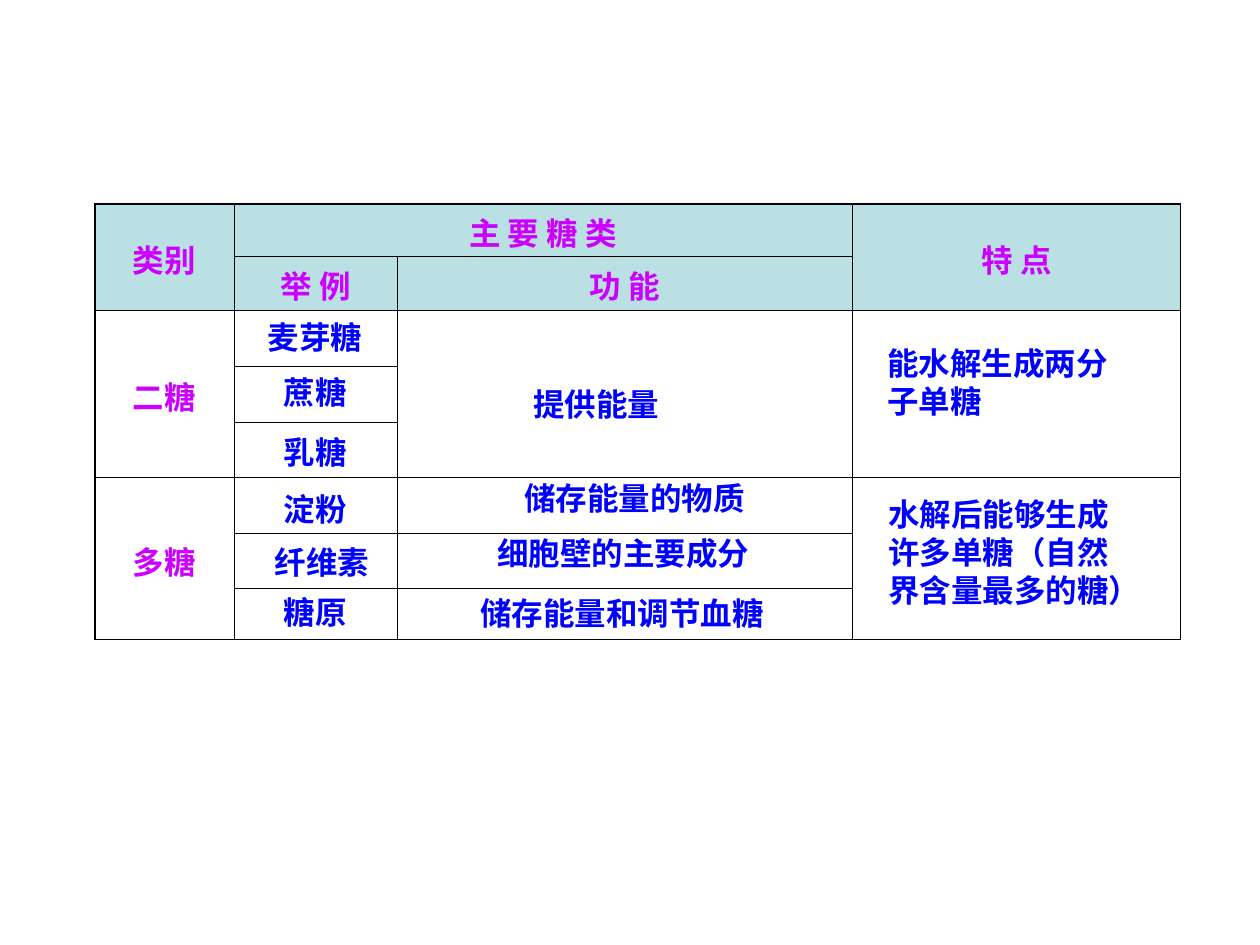
from dataclasses import dataclass

from lxml import etree
from pptx import Presentation
from pptx.dml.color import RGBColor
from pptx.enum.text import MSO_ANCHOR, MSO_AUTO_SIZE, PP_ALIGN
from pptx.oxml.ns import qn
from pptx.util import Emu, Pt

CENTER, JUSTIFY = PP_ALIGN.CENTER, PP_ALIGN.JUSTIFY
MIDDLE = MSO_ANCHOR.MIDDLE
FIT_SHAPE = MSO_AUTO_SIZE.SHAPE_TO_FIT_TEXT
EMU_PER_PX = 914400 // 126
LINE_PX, PADDING_PX = 38, 12


@dataclass(frozen=True)
class Theme:
    font: str = "Noto Sans CJK SC"
    size: float = 18
    empty_size: float = 12
    line_spacing: float = 21.6
    heading: str = "CC00FF"
    body: str = "0000FF"
    header_fill: str = "BBE0E3"
    border: str = "000000"
    outer_border: float = 0.75
    inner_border: float = 0.45


def px(length):
    return Emu(length * EMU_PER_PX)


class SlideBuilder:
    def __init__(self, slide, theme):
        self.slide = slide
        self.theme = theme

    def style_paragraph(self, para, text, color, align):
        para.text = text
        para.alignment = align
        para.line_spacing = Pt(self.theme.line_spacing)
        font = para.font
        font.name = self.theme.font
        font.size = Pt(self.theme.size)
        font.bold = True
        font.color.rgb = RGBColor.from_string(color)
        # East Asian text takes its typeface from a:ea, not a:latin.
        defaults = para._p.pPr.find(qn("a:defRPr"))
        etree.SubElement(defaults, qn("a:ea"), typeface=self.theme.font)

    def text(self, left, top, width, lines, align):
        height = PADDING_PX + LINE_PX * len(lines)
        box = self.slide.shapes.add_textbox(px(left), px(top), px(width), px(height))
        frame = box.text_frame
        frame.word_wrap = True
        frame.auto_size = FIT_SHAPE
        for index, line in enumerate(lines):
            para = frame.add_paragraph() if index else frame.paragraphs[0]
            self.style_paragraph(para, line, self.theme.body, align)

    def border_cell(self, cell, outer_sides):
        """Draw all four sides, the outer ones (among L, R, T, B) heavier."""
        properties = cell._tc.get_or_add_tcPr()
        for index, side in enumerate("LRTB"):
            outer = side in outer_sides
            width = self.theme.outer_border if outer else self.theme.inner_border
            line = etree.Element(qn(f"a:ln{side}"), w=str(int(Pt(width))))
            fill = etree.SubElement(line, qn("a:solidFill"))
            etree.SubElement(fill, qn("a:srgbClr"), val=self.theme.border)
            properties.insert(index, line)

    def label_cell(self, cell, label):
        """Write the label, or keep an empty cell from stretching its row."""
        para = cell.text_frame.paragraphs[0]
        if not label:
            para.font.size = Pt(self.theme.empty_size)
            return
        cell.vertical_anchor = MIDDLE
        # Exact line spacing lifts the glyphs, so all padding goes on top.
        cell.margin_top, cell.margin_bottom = px(PADDING_PX), 0
        self.style_paragraph(para, label, self.theme.heading, CENTER)

    def table(self, left, top, columns, rows, merges, labels, header_rows):
        table = self.slide.shapes.add_table(
            len(rows), len(columns), px(left), px(top), px(sum(columns)), px(sum(rows))
        ).table
        table.first_row = table.horz_banding = False
        for column, width in zip(table.columns, columns):
            column.width = px(width)
        for row, height in zip(table.rows, rows):
            row.height = px(height)
        for first, last in merges:
            table.cell(*first).merge(table.cell(*last))

        for r in range(len(rows)):
            for c in range(len(columns)):
                cell = table.cell(r, c)
                if r < header_rows:
                    cell.fill.solid()
                    cell.fill.fore_color.rgb = RGBColor.from_string(self.theme.header_fill)
                else:
                    cell.fill.background()
                span_rows = cell.span_height if cell.is_merge_origin else 1
                span_columns = cell.span_width if cell.is_merge_origin else 1
                at_edge = {
                    "L": c == 0,
                    "R": c + span_columns == len(columns),
                    "T": r == 0,
                    "B": r + span_rows == len(rows),
                }
                self.border_cell(cell, [side for side, outer in at_edge.items() if outer])
                self.label_cell(cell, labels.get((r, c)))


COLUMNS = [139, 163, 455, 329]
ROWS = [52, 54, 56, 56, 56, 56, 55, 51]
MERGES = [
    ((0, 0), (1, 0)), ((0, 1), (0, 2)), ((0, 3), (1, 3)),
    ((2, 0), (4, 0)), ((2, 2), (4, 2)), ((2, 3), (4, 3)),
    ((5, 0), (7, 0)), ((5, 3), (7, 3)),
]
LABELS = {
    (0, 0): "类别", (0, 1): "主 要 糖 类", (0, 3): "特 点",
    (1, 1): "举 例", (1, 2): "功 能",
    (2, 0): "二糖", (5, 0): "多糖",
}
# left, top, width, text
EXAMPLES = [
    (233, 312, 164, "麦芽糖"),
    (255, 367, 121, "蔗糖"),
    (255, 427, 121, "乳糖"),
    (255, 484, 121, "淀粉"),
    (240, 537, 164, "纤维素"),
    (255, 587, 121, "糖原"),
]
# left, top, width, lines
DESCRIPTIONS = [
    (521, 379, 181, ["提供能量"]),
    (512, 473, 296, ["储存能量的物质"]),
    (485, 528, 334, ["细胞壁的主要成分"]),
    (468, 588, 372, ["储存能量和调节血糖"]),
    (875, 338, 270, ["能水解生成两分", "子单糖"]),
    (876, 489, 292, ["水解后能够生成", "许多单糖（自然", "界含量最多的糖）"]),
]


def main():
    deck = Presentation()
    deck.slide_width, deck.slide_height = px(1260), px(945)
    page = SlideBuilder(deck.slides.add_slide(deck.slide_layouts[6]), Theme())
    page.table(95, 204, COLUMNS, ROWS, MERGES, LABELS, header_rows=2)
    for left, top, width, name in EXAMPLES:
        page.text(left, top, width, [name], CENTER)
    for left, top, width, lines in DESCRIPTIONS:
        page.text(left, top, width, lines, JUSTIFY)
    deck.save("out.pptx")


if __name__ == "__main__":
    main()
